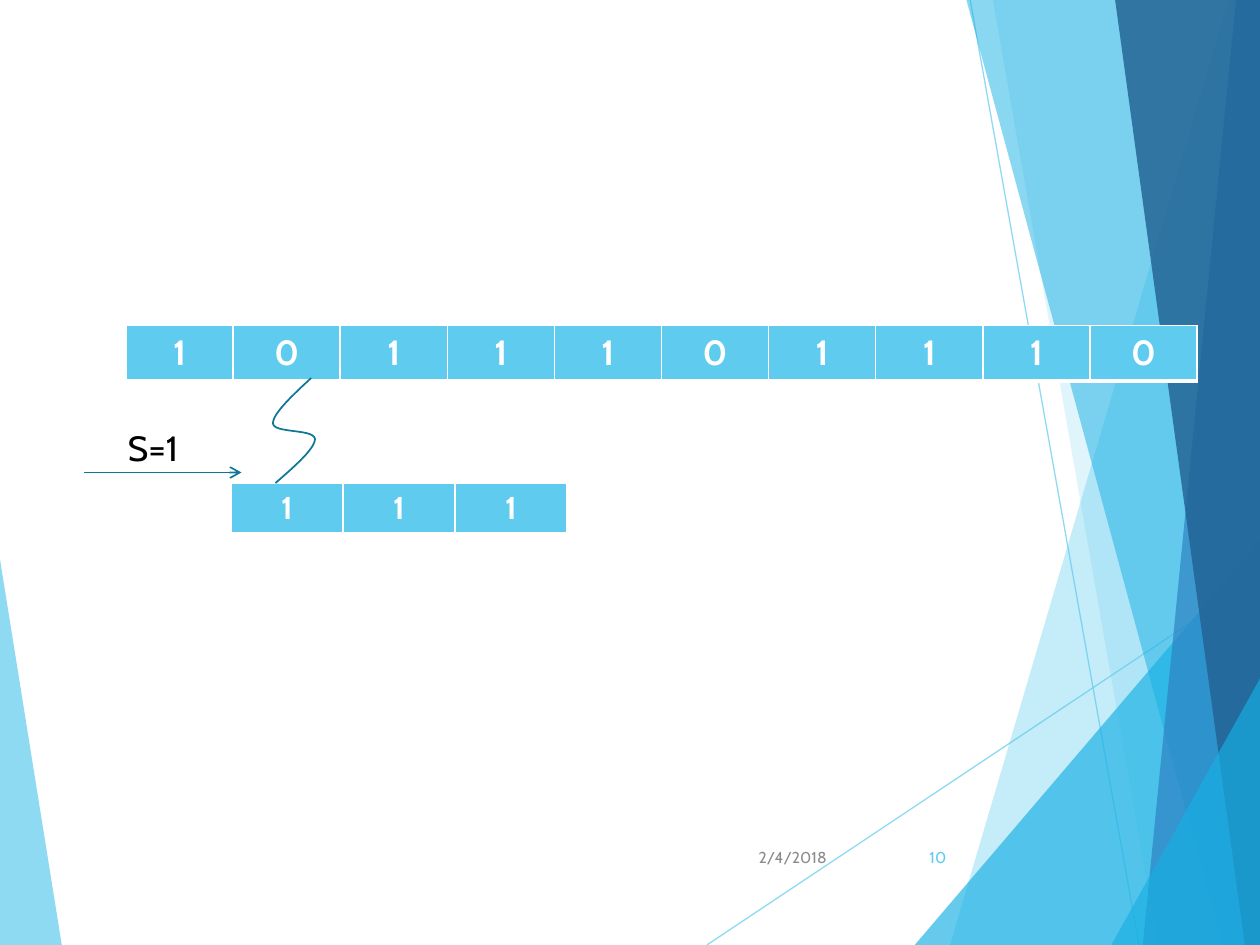
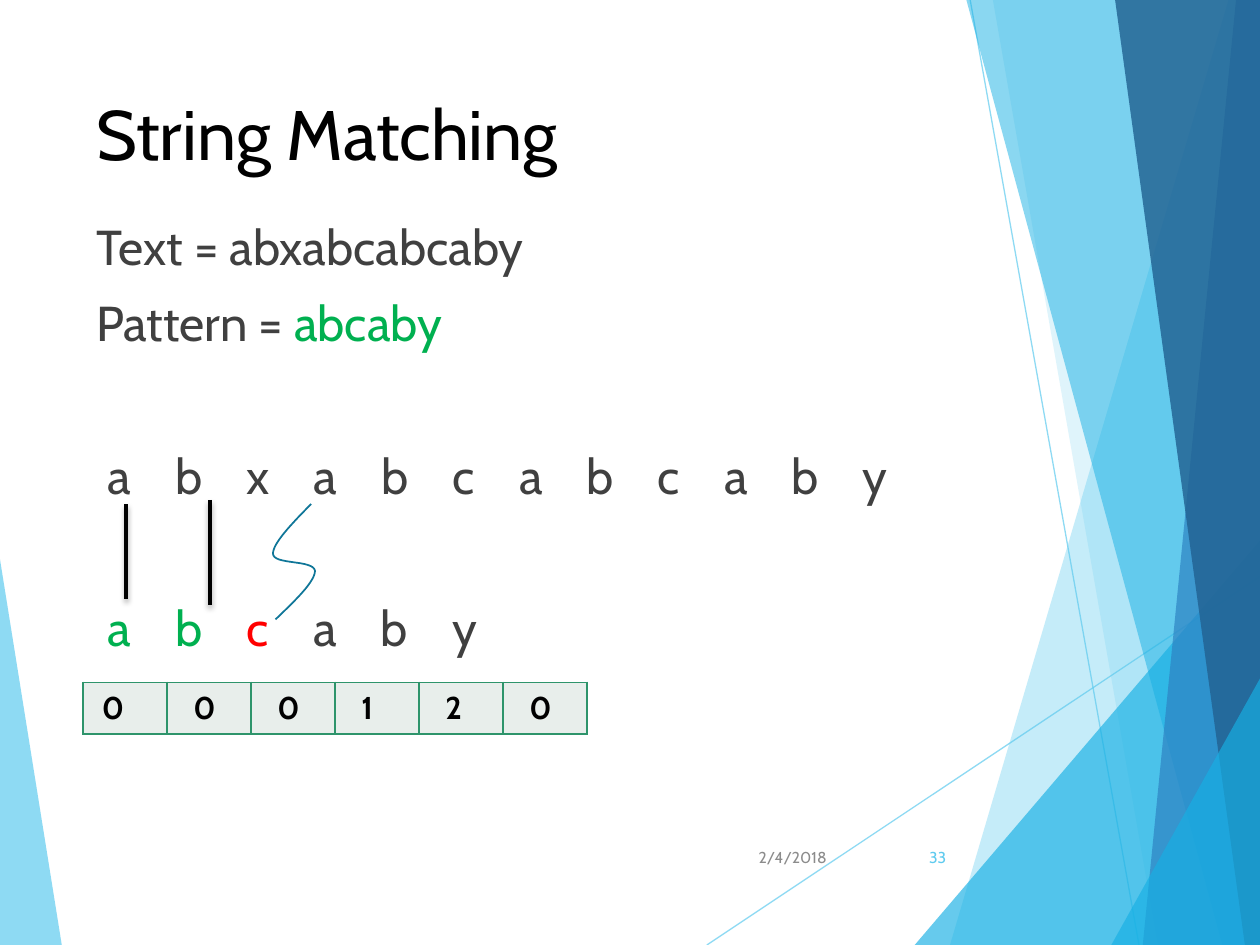
from dataclasses import dataclass

from lxml.etree import SubElement
from pptx import Presentation
from pptx.dml.color import RGBColor as Rgb
from pptx.enum.shapes import MSO_CONNECTOR as Link
from pptx.enum.text import MSO_ANCHOR as Anchor, MSO_AUTO_SIZE as Fit, PP_ALIGN as Align
from pptx.oxml.ns import qn
from pptx.util import Inches, Pt


@dataclass(frozen=True)
class Theme:
    font: str = "Cabin"
    sky: str = "5FCBEF"
    aqua: str = "17B0E4"
    blue: str = "2E83C3"
    navy: str = "226292"
    teal: str = "0F7698"
    black: str = "000000"
    white: str = "FFFFFF"
    ink: str = "404040"
    gray: str = "8C8C8C"
    green: str = "00B050"
    red: str = "FF0000"
    pale: str = "E8EEEB"
    moss: str = "2E946B"
    title: int = 40
    body: int = 28
    label: int = 20
    cell: int = 18
    foot: int = 9
    track: float = 9.47  # letter spacing of the spread rows


T = Theme()
WIDE, HIGH = Inches(10), Inches(7.5)
COLS, ROWS = 120, 90  # square grid cells


@dataclass(frozen=True)
class Box:
    """An area in grid columns and rows."""
    x: float
    y: float
    w: float
    h: float

    def spot(self, fx, fy):
        """Point at a share of the box."""
        return (round((self.x + fx * self.w) * WIDE / COLS),
                round((self.y + fy * self.h) * HIGH / ROWS))

    def frame(self):
        left, top = self.spot(0, 0)
        right, low = self.spot(1, 1)
        return left, top, right - left, low - top


PAGE = Box(0, 0, COLS, ROWS)

# Polygons in percent of the page: colour, opacity, corners
LEFT = (T.sky, 70, [(0, 59.2), (4.9, 100), (0, 100)])
BANDS = [
    (T.sky, 36, [(97.5, 0), (75.4, 100), (100, 100), (100, 0)]),
    (T.sky, 20, [(78.8, 0), (91.9, 100), (100, 100), (100, 0)]),
    (T.aqua, 66, [(72.6, 100), (100, 57.2), (100, 100)]),
    (T.aqua, 50, [(76.7, 0), (97, 100), (100, 100), (100, 0)]),
    (T.blue, 70, [(98.1, 0), (90.7, 100), (100, 100), (100, 0)]),
    (T.navy, 82, [(88.5, 0), (98.8, 100), (100, 100), (100, 0)]),
    (T.aqua, 66, [(88.2, 100), (100, 71.8), (100, 100)]),
]
RAYS = [((56.1, 100), (100, 61)), ((77, 0), (90.4, 100))]

# Bezier arcs in shares of a box
CURVE = [
    [(.91, 0), (.45, .17), (0, .34), (0, .43)],
    [(0, .43), (0, .53), (.97, .48), (1, .58)],
    [(1, .58), (1, .67), (.55, .83), (.06, 1)],
]


# Basic parts
def add_run(para, text, size, color, bold=False, track=0):
    run = para.add_run()
    run.text = text
    font = run.font
    font.name, font.size, font.bold = T.font, Pt(size), bold
    font.color.rgb = Rgb.from_string(color)
    if track:
        run._r.get_or_add_rPr().set("spc", str(round(track * 100)))


def fade(shape, share):
    for color in shape.element.spPr.iter(qn("a:srgbClr")):
        SubElement(color, qn("a:alpha"), val=str(share * 1000))


def outline(shapes, points, close):
    path = shapes.build_freeform(*points[0], scale=1.0)
    path.add_line_segments(points[1:], close=close)
    shape = path.convert_to_shape()
    shape.shadow.inherit = False
    return shape


def add_line(shapes, start, end, color, width, arrow=False, shade=False):
    line = shapes.add_connector(Link.STRAIGHT, *start, *end)
    line.line.color.rgb = Rgb.from_string(color)
    line.line.width = Pt(width)
    props = line.element.spPr
    if arrow:
        SubElement(props.find(qn("a:ln")), qn("a:tailEnd"), type="arrow")
    effect = SubElement(props, qn("a:effectLst"))
    if shade:
        drop = SubElement(effect, qn("a:outerShdw"), blurRad=str(Pt(3)),
                          dist=str(Pt(2)), dir="5400000", rotWithShape="0")
        tone = SubElement(drop, qn("a:srgbClr"), val=T.black)
        SubElement(tone, qn("a:alpha"), val="35000")
    return line


def add_label(slide, box, text, size, color, align=Align.LEFT, anchor=Anchor.TOP):
    frame = slide.shapes.add_textbox(*box.frame()).text_frame
    frame.word_wrap = True
    frame.vertical_anchor = anchor
    para = frame.paragraphs[0]
    para.alignment = align
    add_run(para, text, size, color)


def add_squiggle(slide, box):
    points = [box.spot(*CURVE[0][0])]
    for a, b, c, d in CURVE:
        for step in range(1, 17):
            t = step / 16
            u = 1 - t
            points.append(box.spot(*(
                u**3 * p + 3 * u * u * t * q + 3 * u * t * t * r + t**3 * s
                for p, q, r, s in zip(a, b, c, d))))
    shape = outline(slide.shapes, points, False)
    shape.fill.background()
    shape.line.color.rgb = Rgb.from_string(T.teal)
    shape.line.width = Pt(1)


def add_strip(slide, box, digits, size, ink, fill, edges, align, pads=None):
    """One-row table; edges gives colour, side width and bottom width."""
    table = slide.shapes.add_table(1, len(digits), *box.frame()).table
    table.first_row = table.horz_banding = False
    color, side, base = edges
    for n, digit in enumerate(digits):
        cell = table.cell(0, n)
        cell.fill.solid()
        cell.fill.fore_color.rgb = Rgb.from_string(fill)
        if pads:
            cell.margin_left = Inches(pads[min(n, 1)])
        para = cell.text_frame.paragraphs[0]
        para.alignment = align
        add_run(para, digit, size, ink, bold=True)
        props = cell._tc.get_or_add_tcPr()
        for rank, name in enumerate("LRTB"):
            width = base if name == "B" else side
            edge = SubElement(props, qn(f"a:ln{name}"), w=str(Pt(width)))
            paint = SubElement(edge, qn("a:solidFill"))
            SubElement(paint, qn("a:srgbClr"), val=color)
            props.insert(rank, edge)


# Shared background, kept on the master
def add_bands(master, slide):
    def polygon(color, share, corners):
        points = [PAGE.spot(x / 100, y / 100) for x, y in corners]
        shape = outline(slide.shapes, points, True)
        shape.fill.solid()
        shape.fill.fore_color.rgb = Rgb.from_string(color)
        shape.line.fill.background()
        fade(shape, share)
        return shape

    parts = [polygon(*LEFT)]
    for ends in RAYS:
        start, end = (PAGE.spot(x / 100, y / 100) for x, y in ends)
        ray = add_line(slide.shapes, start, end, T.sky, .75)
        fade(ray, 70)
        parts.append(ray)
    parts += [polygon(*band) for band in BANDS]
    for n, part in enumerate(parts, 100):
        part.element.xpath(".//p:cNvPr")[0].set("id", str(n))
        master.shapes.element.append(part.element)


def add_footer(slide, box, number):
    date = Box(box.x, box.y, 9, box.h)
    page = Box(box.x + box.w - 6.75, box.y, 6.75, box.h)
    for area, text, color in [(date, "2/4/2018", T.gray), (page, number, T.sky)]:
        add_label(slide, area, text, T.foot, color, Align.RIGHT, Anchor.MIDDLE)


# Bit strings with a shifted pattern
def fill_shift(slide, box):
    x, y = box.x, box.y
    look = (T.white, T.sky, (T.white, 1, 3), Align.CENTER)
    add_strip(slide, Box(x + 4, y, 102, 5), "1011101110", T.label, *look)
    add_strip(slide, Box(x + 14, y + 15, 32, 4.9), "111", T.cell, *look)
    add_squiggle(slide, Box(x + 18, y + 5, 4, 10))
    arrow = Box(x, y + 14, 15, 0)
    add_line(slide.shapes, arrow.spot(0, 0), arrow.spot(1, 0), T.teal, 1, arrow=True)
    add_label(slide, Box(x + 3, y + 9, 8, 5), "S=1", T.label, T.black)


# Title and body text
def set_frame(shape, box):
    shape.left, shape.top, shape.width, shape.height = box.frame()
    frame = shape.text_frame
    frame.word_wrap, frame.auto_size = True, Fit.NONE
    frame.vertical_anchor = Anchor.TOP
    return frame


def spread(word, tones):
    """Runs of single letters, parted by one space."""
    ends = [" "] * (len(word) - 1) + [""]
    return [(c + end, tone) for c, end, tone in zip(word, ends, tones)]


def fill_text(slide, box):
    title = set_frame(slide.shapes.title, Box(box.x, box.y, 83, 12)).paragraphs[0]
    title.alignment = Align.LEFT
    add_run(title, "String Matching", T.title, T.black)

    frame = set_frame(slide.placeholders[1], Box(box.x, box.y + 12, box.w, box.h - 12))
    tones = [T.green] * 2 + [T.red] + [T.ink] * 3
    # Space before, left indent, letter spacing, runs
    lines = [
        (10, 0, 0, [("Text = abxabcabcaby", T.ink)]),
        (10, 0, 0, [("Pattern = ", T.ink), ("abcaby", T.green)]),
        (53.5, .09, T.track, spread("abxabcabcaby", [T.ink] * 12)),
        (53.5, .09, T.track, spread("abcaby", tones)),
    ]
    for n, (gap, left, track, runs) in enumerate(lines):
        para = frame.add_paragraph() if n else frame.paragraphs[0]
        para.space_before = Pt(gap)
        props = para._p.get_or_add_pPr()
        props.set("marL", str(Inches(left)))
        props.set("indent", "0")
        SubElement(props, qn("a:buNone"))
        for words, color in runs:
            add_run(para, words, T.body, color, track=track)


# Links between the letters, and the table of prefixes
def fill_match(slide, box):
    x, y = box.x, box.y
    add_squiggle(slide, Box(x + 18, y, 4, 11))
    for bar in (Box(x + 4, y, 0, 9), Box(x + 12, y - .4, 0, 10)):
        add_line(slide.shapes, bar.spot(0, 0), bar.spot(0, 1), T.black, 2, shade=True)
    add_strip(slide, Box(x - .1, y + 17, 48, 4.9), "000120", T.cell, T.black, T.pale,
              (T.moss, 1, 1), Align.LEFT, (.15, .21))


def main():
    deck = Presentation()
    deck.slide_width, deck.slide_height = WIDE, HIGH
    plain, titled = deck.slide_layouts[6], deck.slide_layouts[1]
    foot = Box(70.9, 79.2, 20.4, 4.8)

    shift = deck.slides.add_slide(plain)
    add_bands(deck.slide_master, shift)
    fill_shift(shift, Box(8, 31, 106, 20))
    add_footer(shift, foot, "10")

    match = deck.slides.add_slide(titled)
    fill_text(match, Box(8, 8, 99, 71))
    fill_match(match, Box(8, 48, 48, 22))
    add_footer(match, foot, "33")

    deck.save("out.pptx")


if __name__ == "__main__":
    main()
